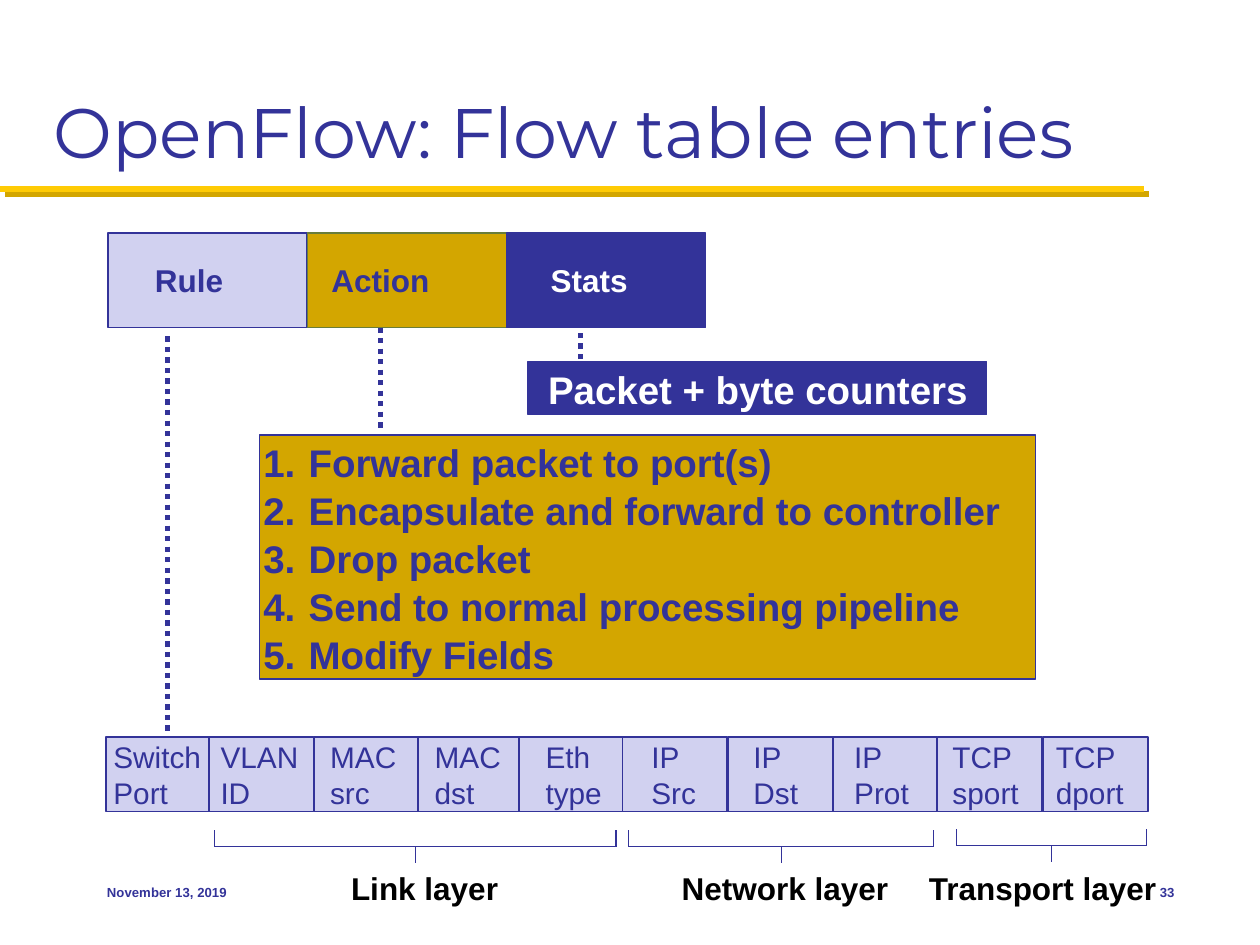
from pptx import Presentation
from pptx import util as u
from pptx.dml.color import RGBColor
from pptx.enum import dml, shapes, text
from pptx.oxml import parse_xml
from pptx.oxml.ns import nsdecls, qn
from lxml import etree

In = u.Inches
THEME = dict(
    navy="333399", lilac="D1D1F0", gold="D3A600", yellow="FFCB05",
    olive="697D3A", white="FFFFFF", black="000000",
    title=40, big=22, label=18, cell=17, small=7.5,
    head_font="Montserrat", body_font="Arial",
)

# Content
TITLE = "OpenFlow: Flow table entries"
# name, fill, outline, text colour, text left, text width
ENTRY = [
    ("Rule", "lilac", "navy", "navy", 1.23, 0.55),
    ("Action", "gold", "olive", "navy", 2.63, 0.79),
    ("Stats", "navy", "navy", "white", 4.37, 0.62),
]
COUNTERS = "Packet + byte counters"
ACTIONS = [
    "Forward packet to port(s)",
    "Encapsulate and forward to controller",
    "Drop packet",
    "Send to normal processing pipeline",
    "Modify Fields",
]
# words, cell left, text left, text width
FIELDS = [
    (["Switch", "Port"], 0.84, 0.90, 0.70),
    (["VLAN", "ID"], 1.66, 1.75, 0.65),
    (["MAC", "src"], 2.49, 2.62, 0.54),
    (["MAC", "dst"], 3.32, 3.45, 0.54),
    (["Eth", "type"], 4.12, 4.33, 0.45),
    (["IP", "Src"], 4.94, 5.17, 0.36),
    (["IP", "Dst"], 5.78, 5.98, 0.36),
    (["IP", "Prot"], 6.61, 6.78, 0.44),
    (["TCP", "sport"], 7.44, 7.56, 0.53),
    (["TCP", "dport"], 8.28, 8.38, 0.55),
]
# layer, bracket left, right, bar height, text left, text width
LAYERS = [
    ("Link layer", 1.70, 4.89, 6.72, 2.68, 1.38),
    ("Network layer", 4.99, 7.41, 6.72, 5.30, 1.86),
    ("Transport layer", 7.59, 9.10, 6.71, 6.99, 2.57),
]
DOTTED = [(1.33, 2.67, 5.83), (3.02, 2.60, 3.43), (4.61, 2.85, 2.60)]

prs = Presentation()
prs.slide_width, prs.slide_height = In(10), In(7.5)
s = prs.slides.add_slide(prs.slide_layouts[6])


def rgb(name):
    return RGBColor.from_string(THEME[name])


def write(sp, lines, size="label", color="navy", font="body_font", bold=False,
          align="LEFT", anchor="MIDDLE", inset=(0, 0), wrap=False,
          spacing=None, numbered=False):
    tf = sp.text_frame
    tf.word_wrap = wrap
    tf.vertical_anchor = text.MSO_ANCHOR[anchor]
    tf.margin_left = tf.margin_right = In(inset[0])
    tf.margin_top = tf.margin_bottom = In(inset[1])
    for i, line in enumerate(lines):
        p = tf.add_paragraph() if i else tf.paragraphs[0]
        p.alignment = text.PP_ALIGN[align]
        if spacing:
            p.line_spacing = spacing
        if numbered:
            pPr = p._p.get_or_add_pPr()
            pPr.set("marL", str(In(0.39)))
            pPr.set("indent", str(In(-0.36)))
            etree.SubElement(pPr, qn("a:buAutoNum"), type="arabicPeriod")
        r = p.add_run()
        r.text = line
        r.font.name, r.font.size = THEME[font], u.Pt(THEME[size])
        r.font.bold, r.font.color.rgb = bold, rgb(color)


def label(lines, x, y, w, h, **fmt):
    write(s.shapes.add_textbox(In(x), In(y), In(w), In(h)), lines, **fmt)


def rect(x, y, w, h, fill, line="navy"):
    sp = s.shapes.add_shape(shapes.MSO_SHAPE.RECTANGLE, In(x), In(y), In(w), In(h))
    sp.shadow.inherit = False
    sp.fill.solid()
    sp.fill.fore_color.rgb = rgb(fill)
    sp.line.color.rgb, sp.line.width = rgb(line), u.Pt(1)
    return sp


def line(x1, y1, x2, y2, width=0.75, color="navy", dotted=False, shadow=""):
    c = s.shapes.add_connector(shapes.MSO_CONNECTOR.STRAIGHT,
                               In(x1), In(y1), In(x2), In(y2))
    c.line.color.rgb, c.line.width = rgb(color), u.Pt(width)
    if dotted:
        c.line.dash_style = dml.MSO_LINE.ROUND_DOT
    c._element.spPr.append(parse_xml(
        f'<a:effectLst {nsdecls("a")}>{shadow}</a:effectLst>'))


# Title and rule below it
line(0, 1.5, 9.08, 1.5, 3.5, "yellow", shadow=(
    f'<a:outerShdw dist="{u.Pt(4.2)}" dir="2700000" algn="ctr" rotWithShape="0">'
    f'<a:srgbClr val="{THEME["gold"]}"/></a:outerShdw>'))
label([TITLE], 0.33, 0.17, 9.33, 1.25, size="title", font="head_font",
      anchor="BOTTOM", inset=(0.1, 0.05), wrap=True)

# Flow entry: three equal parts
for i, (name, fill, edge, color, x, w) in enumerate(ENTRY):
    rect(0.86 + 1.58 * i, 1.85, 1.58, 0.75, fill, edge)
    label([name], x, 2.07, w, 0.3, color=color, bold=True)

# Header fields matched by the rule
for words, left, x, w in FIELDS:
    rect(left, 5.85, 0.83, 0.59, "lilac")
    label(words, x, 5.86, w, 0.57, size="cell", spacing=1.02)

# Actions and counters
write(rect(2.06, 3.45, 6.16, 1.94, "gold"), ACTIONS, size="big", bold=True,
      wrap=True, spacing=1.04, numbered=True)
rect(4.19, 2.87, 3.64, 0.42, "navy")
label([COUNTERS], 4.35, 2.9, 3.38, 0.37, size="big", color="white", bold=True)
for x, y1, y2 in DOTTED:
    line(x, y1, x, y2, 3, dotted=True)

# Layer brackets
for name, left, right, bar, x, w in LAYERS:
    mid = (left + right) / 2
    for end in (left, right):
        line(end, bar - 0.13, end, bar)
    line(left, bar, right, bar)
    line(mid, bar, mid, bar + 0.13)
    label([name], x, 6.85, w, 0.4, color="black", bold=True, align="CENTER",
          anchor="TOP", inset=(0.1, 0.05), wrap=True)

# Footer
footer = dict(size="small", bold=True, inset=(0.1, 0.05), wrap=True)
label(["November 13, 2019"], 0.75, 6.83, 2.08, 0.5, **footer)
label(["33"], 8.75, 6.83, 0.67, 0.5, align="RIGHT", **footer)

prs.save("out.pptx")
